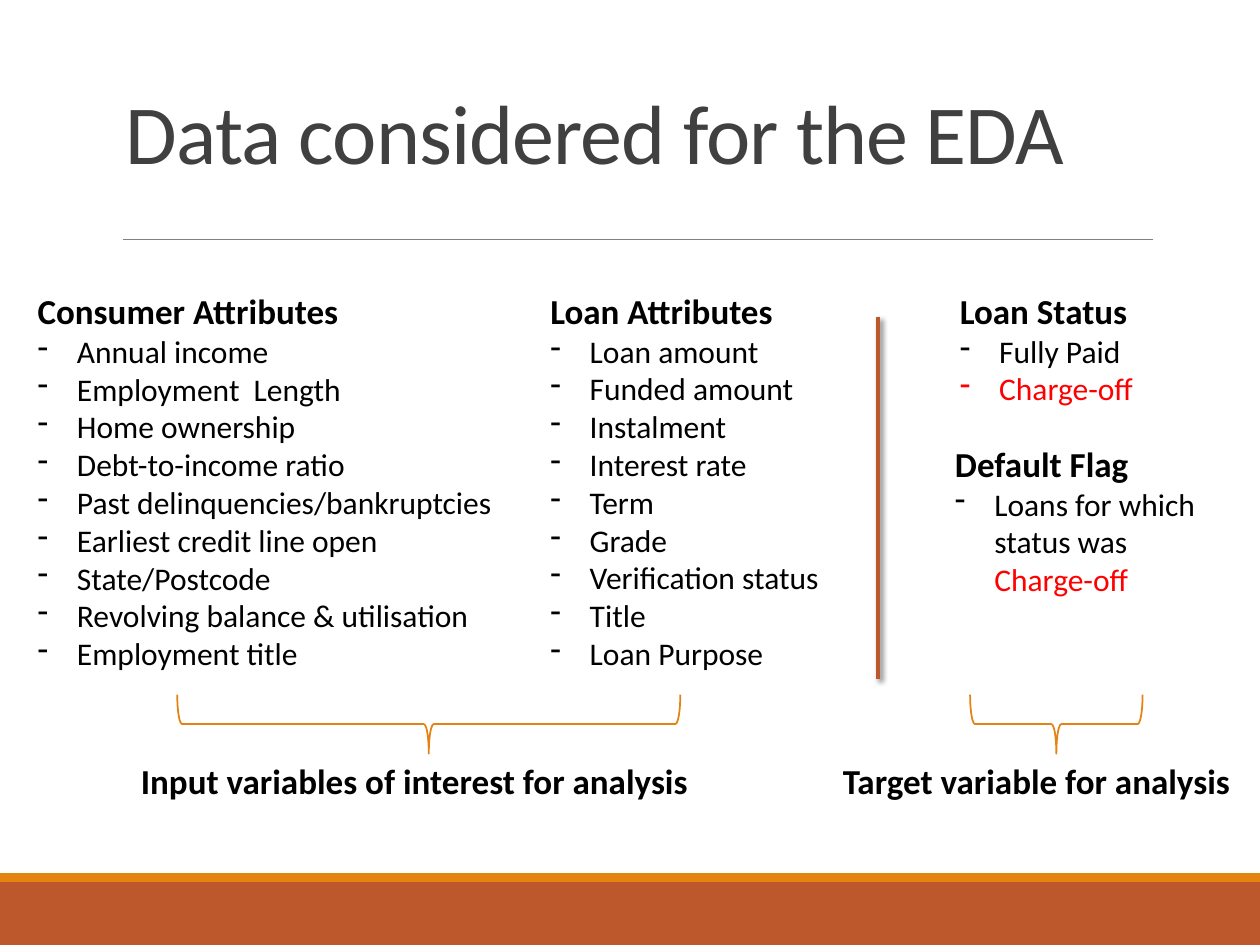
from dataclasses import dataclass

from lxml import etree
from pptx import Presentation
from pptx.dml.color import RGBColor
from pptx.enum.shapes import MSO_CONNECTOR, MSO_SHAPE
from pptx.enum.text import MSO_ANCHOR
from pptx.oxml.ns import qn
from pptx.util import Pt

RECT = MSO_SHAPE.RECTANGLE
BRACE = MSO_SHAPE.RIGHT_BRACE
LINE = MSO_CONNECTOR.STRAIGHT
BOTTOM = MSO_ANCHOR.BOTTOM


@dataclass(frozen=True)
class Theme:
    font: str = "Calibri"
    title: int = 48
    head: int = 20
    body: int = 18
    rust: RGBColor = RGBColor(0xBD, 0x58, 0x2C)
    amber: RGBColor = RGBColor(0xE4, 0x83, 0x12)
    gray: RGBColor = RGBColor(0x80, 0x80, 0x80)
    dark: RGBColor = RGBColor(0x40, 0x40, 0x40)
    black: RGBColor = RGBColor(0, 0, 0)
    red: RGBColor = RGBColor(0xFF, 0, 0)


T = Theme()
INDENT = Pt(22.5)
ALERT = "Charge-off"

deck = Presentation()
deck.slide_width, deck.slide_height = Pt(720), Pt(540)
slide = deck.slides.add_slide(deck.slide_layouts[6])
shapes = slide.shapes


def add_text(left, top, width, height, head, items=()):
    """Add a bold heading with dashed items below; the alert word is red."""
    box = shapes.add_textbox(Pt(left), Pt(top), Pt(width), Pt(height))
    frame = box.text_frame
    frame.word_wrap = True
    frame.text = head
    font = frame.paragraphs[0].runs[0].font
    font.name, font.size, font.bold = T.font, Pt(T.head), True
    font.color.rgb = T.black
    for item in items:
        para = frame.add_paragraph()
        props = para._p.get_or_add_pPr()
        props.set("marL", str(INDENT))
        props.set("indent", str(-INDENT))
        etree.SubElement(props, qn("a:buChar"), char="-")
        for part in filter(None, item.partition(ALERT)):
            run = para.add_run()
            run.text = part
            run.font.name, run.font.size = T.font, Pt(T.body)
            run.font.color.rgb = T.red if part == ALERT else T.black
    return frame


def add_rule(x1, y1, x2, y2, color, width):
    """Add a straight line and return its effect list, left empty."""
    rule = shapes.add_connector(LINE, Pt(x1), Pt(y1), Pt(x2), Pt(y2))
    rule.line.color.rgb = color
    rule.line.width = Pt(width)
    return etree.SubElement(rule._element.spPr, qn("a:effectLst"))


# Footer bands
for top, height, color in ((504, 36, T.rust), (499, 5, T.amber)):
    band = shapes.add_shape(RECT, 0, Pt(top), Pt(720), Pt(height))
    band.shadow.inherit = False
    band.fill.solid()
    band.fill.fore_color.rgb = color
    band.line.fill.background()

# Title and its rule
add_rule(70.5, 136.8, 659, 136.8, T.gray, 0.5)
title = add_text(64.8, 22.3, 594, 85, "Data considered for the EDA")
title.vertical_anchor = BOTTOM
para = title.paragraphs[0]
para.line_spacing = 0.85
font = para.runs[0].font
font.size, font.bold = Pt(T.title), False
font.color.rgb = T.dark
para.runs[0]._r.get_or_add_rPr().set("spc", "-50")

# Attribute lists
TOP = 162
add_text(14.4, TOP, 281, 250, "Consumer Attributes", (
    "Annual income",
    "Employment  Length",
    "Home ownership",
    "Debt-to-income ratio",
    "Past delinquencies/bankruptcies",
    "Earliest credit line open",
    "State/Postcode",
    "Revolving balance & utilisation",
    "Employment title",
))
add_text(307.4, TOP, 234, 269, "Loan Attributes", (
    "Loan amount",
    "Funded amount",
    "Instalment",
    "Interest rate",
    "Term",
    "Grade",
    "Verification status",
    "Title",
    "Loan Purpose",
))
add_text(541.4, TOP, 133, 119, "Loan Status", ("Fully Paid", ALERT))
add_text(538.6, 249.3, 156, 140, "Default Flag",
         ("Loans for which status was " + ALERT,))

# Divider with a soft shadow
effects = add_rule(501.8, 181, 501.8, 388, T.rust, 2)
shade = etree.SubElement(effects, qn("a:outerShdw"), blurRad=str(Pt(3)),
                         dist=str(Pt(2)), dir=str(45 * 60000))
tone = etree.SubElement(shade, qn("a:srgbClr"), val=str(T.black))
etree.SubElement(tone, qn("a:alpha"), val="60000")

# Braces, turned to point down at their captions
MID, DEPTH = 413.8, 33.8
for mid, span, left, width, label in (
    (245, 287.5, 73.4, 428, "Input variables of interest for analysis"),
    (603.6, 98.6, 474.5, 264, "Target variable for analysis"),
):
    brace = shapes.add_shape(BRACE, Pt(mid - DEPTH / 2), Pt(MID - span / 2),
                             Pt(DEPTH), Pt(span))
    brace.rotation = 90
    brace.shadow.inherit = False
    brace.fill.background()
    brace.line.color.rgb = T.amber
    brace.line.width = Pt(1)
    add_text(left, 430.6, width, 75, label)

deck.save("out.pptx")
